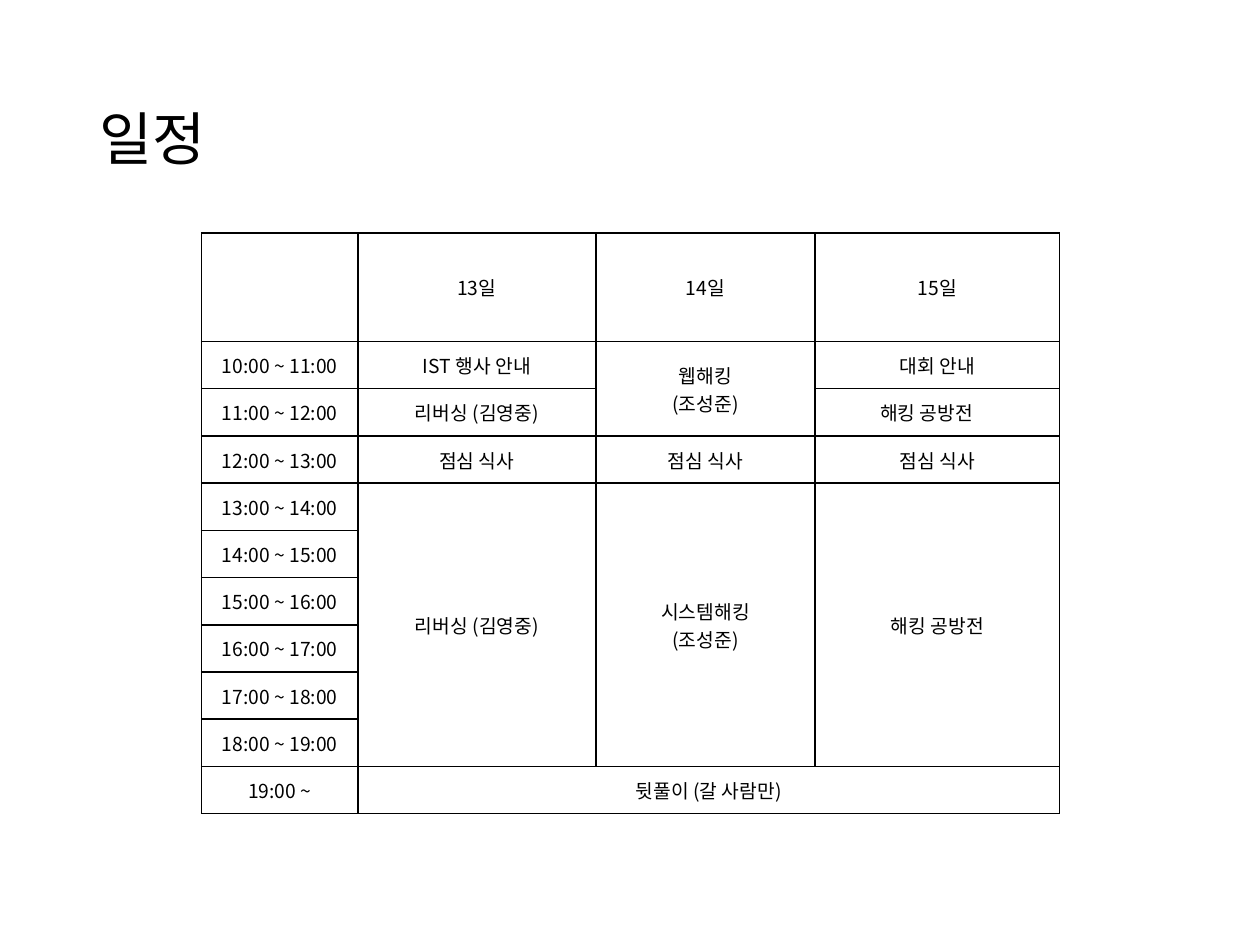
from lxml.etree import SubElement
from pptx import Presentation
from pptx.dml.color import RGBColor
from pptx.enum.text import MSO_ANCHOR as Anchor, PP_ALIGN as Align
from pptx.oxml.ns import qn
from pptx.util import Inches, Pt

FONT = "Noto Sans CJK KR"
INK = "000000"


def write(frame, text, size, align, spacing=1.0):
    """Fill a text frame with one styled paragraph per line."""
    for number, line in enumerate(text.split("\n")):
        para = frame.paragraphs[0] if number == 0 else frame.add_paragraph()
        para.alignment, para.line_spacing = align, spacing
        span = para.add_run()
        span.text = line
        for name, value in {"name": FONT, "size": Pt(size)}.items():
            setattr(span.font, name, value)
        span.font.color.rgb = RGBColor.from_string(INK)
        SubElement(span.font._element, qn("a:ea"), typeface=FONT)


def outline(cell):
    """Draw a thin line on all four sides of a cell."""
    props = cell._tc.get_or_add_tcPr()
    for position, side in enumerate(("lnL", "lnR", "lnT", "lnB")):
        line = props.makeelement(qn(f"a:{side}"), {"w": str(Pt(1))})
        fill = SubElement(line, qn("a:solidFill"))
        SubElement(fill, qn("a:srgbClr"), val=INK)
        props.insert(position, line)


deck = Presentation()
deck.slide_width, deck.slide_height = Inches(10), Inches(7.5)
page = deck.slides.add_slide(deck.slide_layouts[6])

title = page.shapes.add_textbox(Inches(0.69), Inches(0.4), Inches(8.62), Inches(1.45))
title.text_frame.word_wrap = True
title.text_frame.vertical_anchor = Anchor.MIDDLE
write(title.text_frame, "일정", 33, Align.LEFT, 0.9)

# Texts by (row, column)
lunch, reversing, contest = "점심 식사", "리버싱 (김영중)", "해킹 공방전"
entries = {
    (0, 1): "13일", (0, 2): "14일", (0, 3): "15일",
    (1, 1): "IST 행사 안내", (1, 2): "웹해킹\n(조성준)", (1, 3): "대회 안내",
    (2, 1): reversing, (2, 3): contest,
    (3, 1): lunch, (3, 2): lunch, (3, 3): lunch,
    (4, 1): reversing, (4, 2): "시스템해킹\n(조성준)", (4, 3): contest,
    (10, 0): "19:00 ~", (10, 1): "뒷풀이 (갈 사람만)",
}
for row in range(1, 10):
    entries[row, 0] = f"{row + 9}:00 ~ {row + 10}:00"

widths = [1.24, 1.89, 1.74, 1.94]
row_count, table_height, header_height = 11, 4.61, 0.86
slot_height = (table_height - header_height) / (row_count - 1)
schedule = page.shapes.add_table(
    row_count, len(widths), Inches(1.6), Inches(1.85),
    Inches(sum(widths)), Inches(table_height)).table
schedule.first_row = schedule.horz_banding = False
for column, width in zip(schedule.columns, widths):
    column.width = Inches(width)
for number, row in enumerate(schedule.rows):
    row.height = Inches(slot_height if number else header_height)

cell_format = {"vertical_anchor": Anchor.MIDDLE}
for side in ("left", "right", "top", "bottom"):
    cell_format[f"margin_{side}"] = Inches(0.07)
for row in range(row_count):
    for column in range(len(widths)):
        cell = schedule.cell(row, column)
        for name, value in cell_format.items():
            setattr(cell, name, value)
        cell.fill.background()
        outline(cell)
        if (row, column) in entries:
            write(cell.text_frame, entries[row, column], 11, Align.CENTER)

# The first contest slot sits slightly left of centre
schedule.cell(2, 3).margin_right = Inches(0.24)

merges = [((1, 2), (2, 2)), ((10, 1), (10, 3))]
merges += [((4, column), (9, column)) for column in (1, 2, 3)]
for first, last in merges:
    schedule.cell(*first).merge(schedule.cell(*last))

deck.save("out.pptx")
